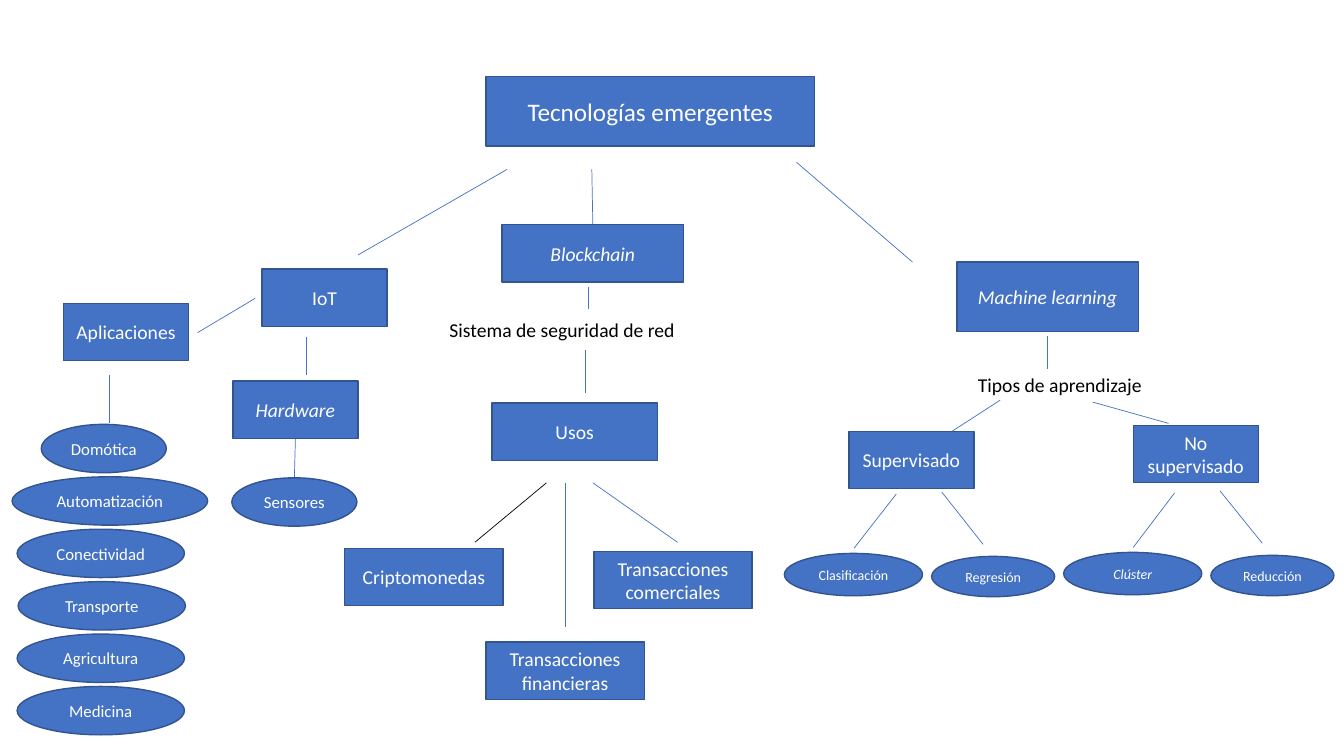
from lxml import etree
from pptx import Presentation
from pptx.dml.color import RGBColor
from pptx.enum.shapes import MSO_CONNECTOR, MSO_SHAPE
from pptx.enum.text import MSO_ANCHOR, PP_ALIGN
from pptx.oxml.ns import qn
from pptx.util import Inches, Pt

RECTANGLE, OVAL = MSO_SHAPE.RECTANGLE, MSO_SHAPE.OVAL
STRAIGHT = MSO_CONNECTOR.STRAIGHT
CENTER, LEFT = PP_ALIGN.CENTER, PP_ALIGN.LEFT
MIDDLE, TOP = MSO_ANCHOR.MIDDLE, MSO_ANCHOR.TOP

FONT = "Calibri"
COLORS = {"fill": "4472C4", "outline": "325491", "light": "FFFFFF", "dark": "000000"}
ITALIC_TERMS = {"Blockchain", "Machine learning", "Hardware", "Clúster"}

# Boxes: text, left, top, width, height
TITLE = ("Tecnologías emergentes", 4.82, 0.76, 3.26, 0.69)
BOX_HEIGHT = 0.57
BOXES = [
    ("IoT", 2.6, 2.67, 1.24, BOX_HEIGHT),
    ("Blockchain", 4.98, 2.23, 1.8, BOX_HEIGHT),
    ("Machine learning", 9.49, 2.6, 1.8, 0.69),
    ("Aplicaciones", 0.63, 3.01, 1.24, BOX_HEIGHT),
    ("Hardware", 2.31, 3.78, 1.24, BOX_HEIGHT),
    ("Usos", 4.88, 4, 1.64, BOX_HEIGHT),
    ("Criptomonedas", 3.42, 5.44, 1.57, BOX_HEIGHT),
    ("Transacciones comerciales", 5.89, 5.47, 1.57, BOX_HEIGHT),
    ("Transacciones financieras", 4.82, 6.37, 1.57, BOX_HEIGHT),
    ("Supervisado", 8.42, 4.28, 1.24, BOX_HEIGHT),
    ("No supervisado", 11.24, 4.22, 1.24, BOX_HEIGHT),
]

# Stacked ovals under Aplicaciones: text, left, width
APPLICATIONS = [
    ("Domótica", 0.41, 1.24),
    ("Automatización", 0.12, 1.94),
    ("Conectividad", 0.17, 1.66),
    ("Transporte", 0.18, 1.66),
    ("Agricultura", 0.17, 1.66),
    ("Medicina", 0.17, 1.66),
]
STACK_TOP, STACK_STEP, OVAL_HEIGHT = 4.21, 0.52, 0.48
SENSORS = ("Sensores", 2.3, 4.74, 1.24, OVAL_HEIGHT)

LEARNING_METHODS = [
    ("Clasificación", 7.78, 5.49, 1.37, 0.42),
    ("Regresión", 9.24, 5.52, 1.22, 0.4),
    ("Clúster", 10.55, 5.48, 1.37, 0.42),
    ("Reducción", 12.01, 5.51, 1.22, 0.4),
]

LABELS = [
    ("Sistema de seguridad de red", 4.36, 3.1, 3.66, 0.34),
    ("Tipos de aprendizaje", 9.6, 3.65, 3.66, 0.34),
]

# Lines: start x, start y, end x, end y
BRANCHES = [
    (5.03, 1.68, 3.55, 2.53), (5.87, 1.68, 5.88, 2.23), (7.9, 1.61, 9.05, 2.6),
    (2.53, 2.96, 1.96, 3.3), (3.04, 3.34, 3.04, 3.72), (1.08, 3.72, 1.08, 4.2),
    (2.93, 4.35, 2.92, 4.74), (5.84, 2.85, 5.84, 3.07), (5.81, 3.47, 5.81, 3.9),
    (5.61, 4.79, 5.61, 6.22), (5.88, 4.79, 6.72, 5.38), (10.39, 3.33, 10.39, 3.66),
    (9.92, 3.97, 9.41, 4.3), (10.84, 3.99, 11.59, 4.2), (8.89, 4.9, 8.47, 5.44),
    (9.34, 4.88, 9.75, 5.4), (11.65, 4.89, 11.24, 5.43), (12.1, 4.87, 12.52, 5.39),
]
CRYPTO_BRANCH = (5.42, 4.79, 4.71, 5.38)

presentation = Presentation()
presentation.slide_width = Inches(13.33)
presentation.slide_height = Inches(7.5)
slide = presentation.slides.add_slide(presentation.slide_layouts[6])


def color(name):
    return RGBColor.from_string(COLORS[name])


def write(shape, text, size, color_name, alignment, anchor):
    frame = shape.text_frame
    frame.word_wrap = True
    frame.vertical_anchor = anchor
    paragraph = frame.paragraphs[0]
    paragraph.alignment = alignment
    run = paragraph.add_run()
    run.text = text
    run.font.name = FONT
    run.font.size = Pt(size)
    run.font.color.rgb = color(color_name)
    if text in ITALIC_TERMS:
        run.font.italic = True


def add_node(kind, size, text, *place):
    shape = slide.shapes.add_shape(kind, *map(Inches, place))
    shape.shadow.inherit = False
    shape.fill.solid()
    shape.fill.fore_color.rgb = color("fill")
    shape.line.color.rgb = color("outline")
    shape.line.width = Pt(1)
    write(shape, text, size, "light", CENTER, MIDDLE)


def add_branch(points, color_name="fill"):
    connector = slide.shapes.add_connector(STRAIGHT, *map(Inches, points))
    connector.line.color.rgb = color(color_name)
    connector.line.width = Pt(0.5)
    etree.SubElement(connector._element.spPr, qn("a:effectLst"))


# Connecting lines
for points in BRANCHES:
    add_branch(points)
add_branch(CRYPTO_BRANCH, "dark")

# Title and topic boxes
add_node(RECTANGLE, 18, *TITLE)
for box in BOXES:
    add_node(RECTANGLE, 14, *box)

# Ovals
for index, (text, left, width) in enumerate(APPLICATIONS):
    add_node(OVAL, 12, text, left, STACK_TOP + index * STACK_STEP, width, OVAL_HEIGHT)
add_node(OVAL, 12, *SENSORS)
for method in LEARNING_METHODS:
    add_node(OVAL, 10, *method)

# Plain labels
for text, *place in LABELS:
    label = slide.shapes.add_textbox(*map(Inches, place))
    write(label, text, 14, "dark", LEFT, TOP)

presentation.save("out.pptx")
